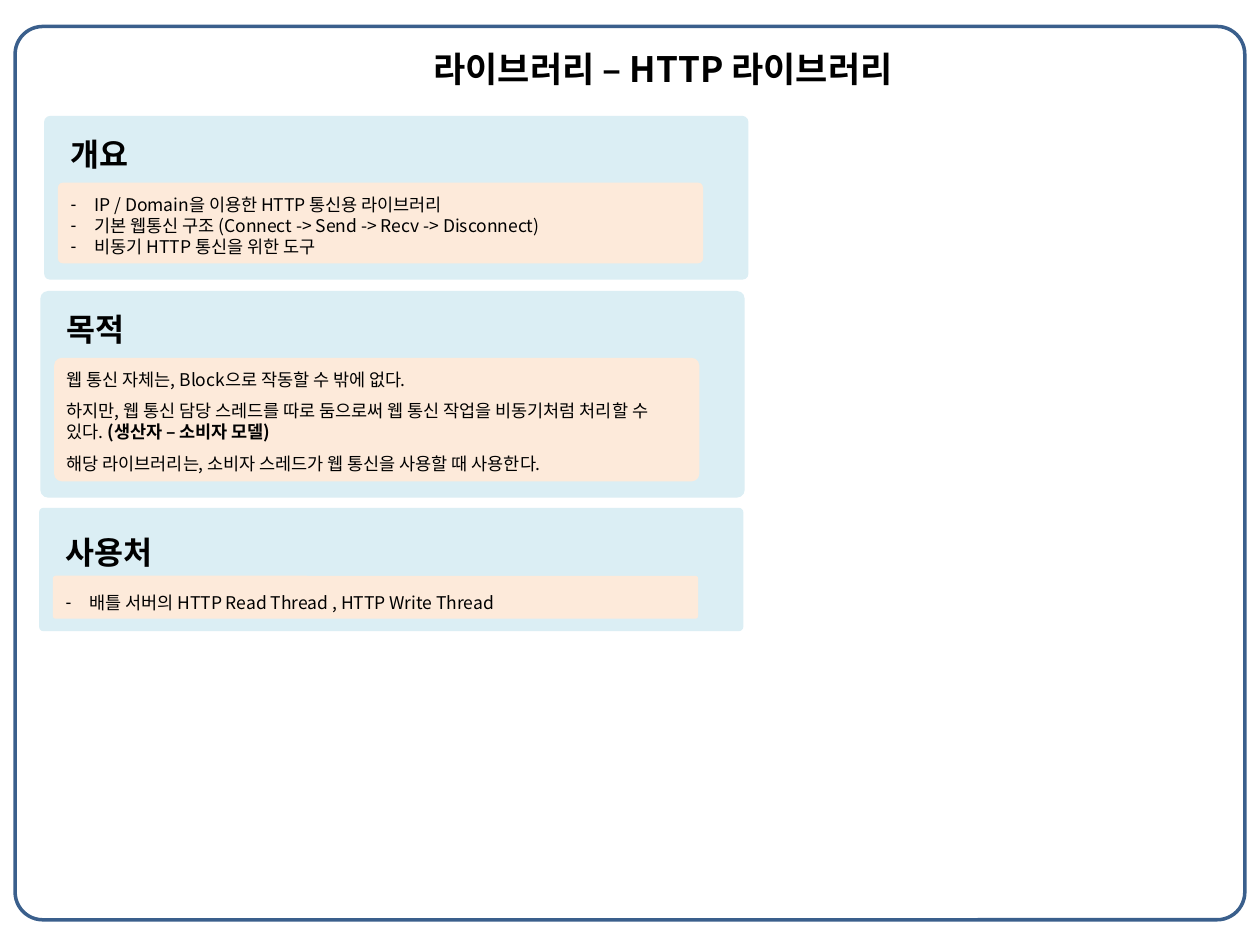
from lxml import etree
from pptx import Presentation
from pptx.dml.color import RGBColor
from pptx.enum import shapes, text
from pptx.oxml.ns import qn
from pptx.util import Inches, Pt

FONT = "Noto Sans CJK KR"
INK, NAVY, PANEL, CARD = "000000", "3A5F8C", "DBEEF4", "FDEADA"


def color(value):
    return RGBColor.from_string(value)


def add_run(p, content, size, bold=False):
    r = p.add_run()
    r.text = content
    r.font.size, r.font.bold, r.font.name = Pt(size), bold, FONT
    r.font.color.rgb = color(INK)
    etree.SubElement(r._r.get_or_add_rPr(), qn("a:ea"), typeface=FONT)


def set_bullet(p, char=None):
    pPr = p._p.get_or_add_pPr()
    indent = Inches(0.19) if char else 0
    pPr.set("marL", str(indent))
    pPr.set("indent", str(-indent))
    if char:
        etree.SubElement(pPr, qn("a:buChar"), char=char)
    else:
        etree.SubElement(pPr, qn("a:buNone"))


def place(sp, box):
    sp.left, sp.top, sp.width, sp.height = map(Inches, box)


def add_round_rect(s, box, radius, fill=None, line=None):
    sp = s.shapes.add_shape(shapes.MSO_SHAPE.ROUNDED_RECTANGLE, *map(Inches, box))
    sp.adjustments[0] = radius
    sp.shadow.inherit = False
    if fill:
        sp.fill.solid()
        sp.fill.fore_color.rgb = color(fill)
    else:
        sp.fill.background()
    if line:
        sp.line.color.rgb = color(line)
        sp.line.width = Pt(2)
    else:
        sp.line.fill.background()


def set_title(sp, box, content):
    place(sp, box)
    tf = sp.text_frame
    tf.auto_size = text.MSO_AUTO_SIZE.NONE
    tf.vertical_anchor = text.MSO_ANCHOR.MIDDLE
    p = tf.paragraphs[0]
    p.alignment = text.PP_ALIGN.LEFT
    add_run(p, content, 20, True)


def fill_section(s, sp, box, card_top, card_height, text_top, heading, items, bullet, gap):
    left, top, width, height = box
    card_left = left + 0.11
    add_round_rect(s, box, 0.037, PANEL)
    add_round_rect(s, (card_left, top + card_top, 5.12, card_height), 0.061, CARD)
    place(sp, (card_left, top + text_top, 5.05, height - text_top))
    s.shapes._spTree.append(sp._element)

    tf = sp.text_frame
    tf.word_wrap = True
    tf.auto_size = text.MSO_AUTO_SIZE.NONE
    tf.vertical_anchor = text.MSO_ANCHOR.TOP
    p = tf.paragraphs[0]
    p.space_before, p.line_spacing = Pt(0), Pt(21.6)
    set_bullet(p)
    add_run(p, heading, 18, True)
    for i, (plain, strong) in enumerate(items):
        p = tf.add_paragraph()
        p.space_before, p.line_spacing = Pt(gap if i else 12), Pt(12)
        set_bullet(p, bullet)
        add_run(p, plain, 10)
        if strong:
            add_run(p, strong, 10, True)


def main():
    prs = Presentation()
    prs.slide_width, prs.slide_height = Inches(10), Inches(7.5)
    s = prs.slides.add_slide(prs.slide_layouts.get_by_name("Comparison"))
    title, overview, purpose, usage, spare = list(s.placeholders)[:5]
    spare._element.getparent().remove(spare._element)

    set_title(title, (3.34, 0.32, 4.16, 0.44), "라이브러리 – HTTP 라이브러리")
    add_round_rect(s, (0.12, 0.21, 9.76, 7.09), 0.031, line=NAVY)
    fill_section(s, overview, (0.35, 0.92, 5.59, 1.3), 0.53, 0.64, 0.1, "개요", [
        ("IP / Domain을 이용한 HTTP 통신용 라이브러리", ""),
        ("기본 웹통신 구조 (Connect -> Send -> Recv -> Disconnect)", ""),
        ("비동기 HTTP 통신을 위한 도구", ""),
    ], "-", 0)
    fill_section(s, purpose, (0.32, 2.31, 5.59, 1.64), 0.53, 0.98, 0.1, "목적", [
        ("웹 통신 자체는, Block으로 작동할 수 밖에 없다.", ""),
        ("하지만, 웹 통신 담당 스레드를 따로 둠으로써 웹 통신 작업을 비동기처럼 처리할 수 있다. ",
         "(생산자 – 소비자 모델)"),
        ("해당 라이브러리는, 소비자 스레드가 웹 통신을 사용할 때 사용한다.", ""),
    ], None, 6)
    fill_section(s, usage, (0.31, 4.03, 5.59, 0.98), 0.54, 0.34, 0.15, "사용처", [
        ("배틀 서버의 HTTP Read Thread , HTTP Write Thread", ""),
    ], "-", 0)
    prs.save("out.pptx")


if __name__ == "__main__":
    main()
